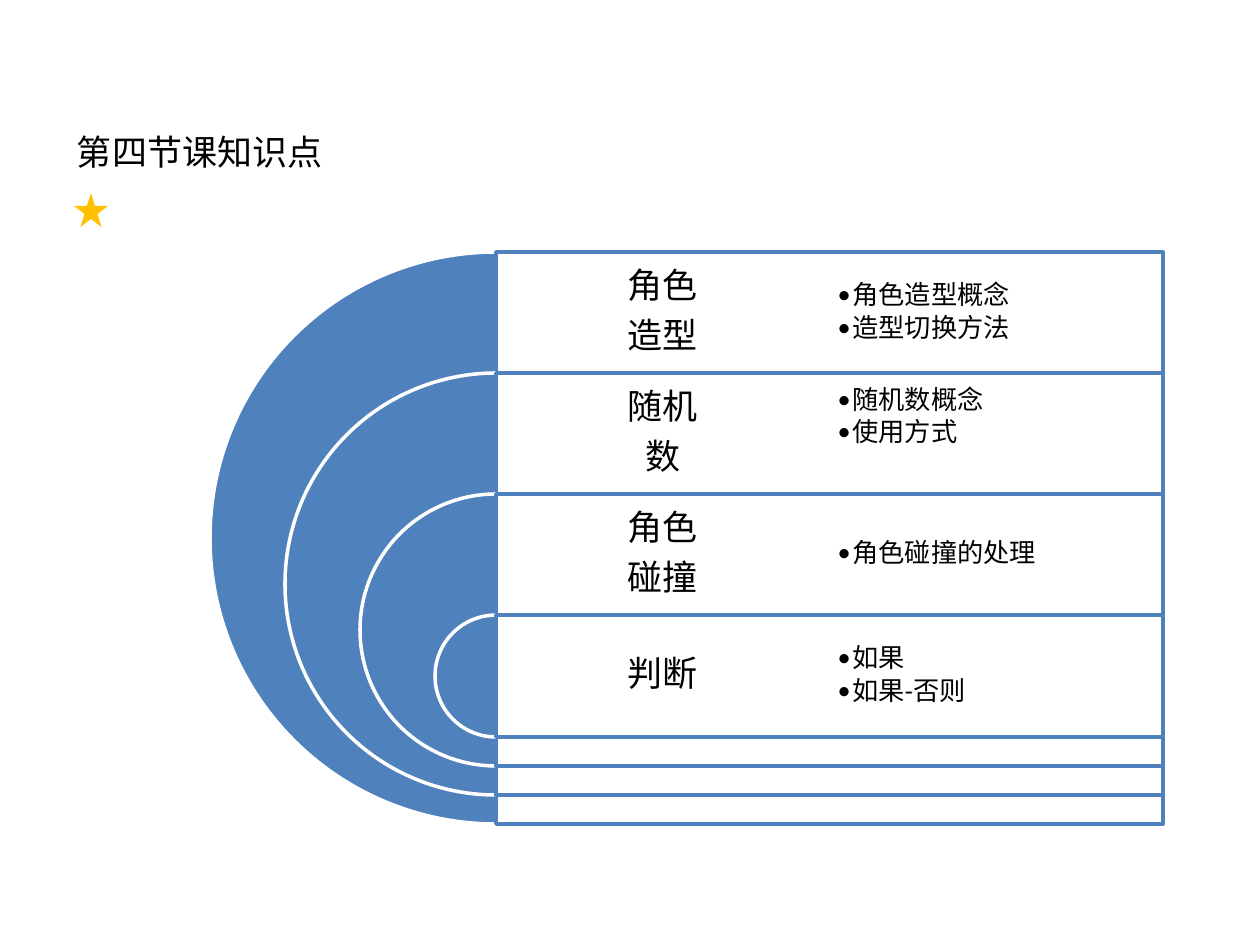
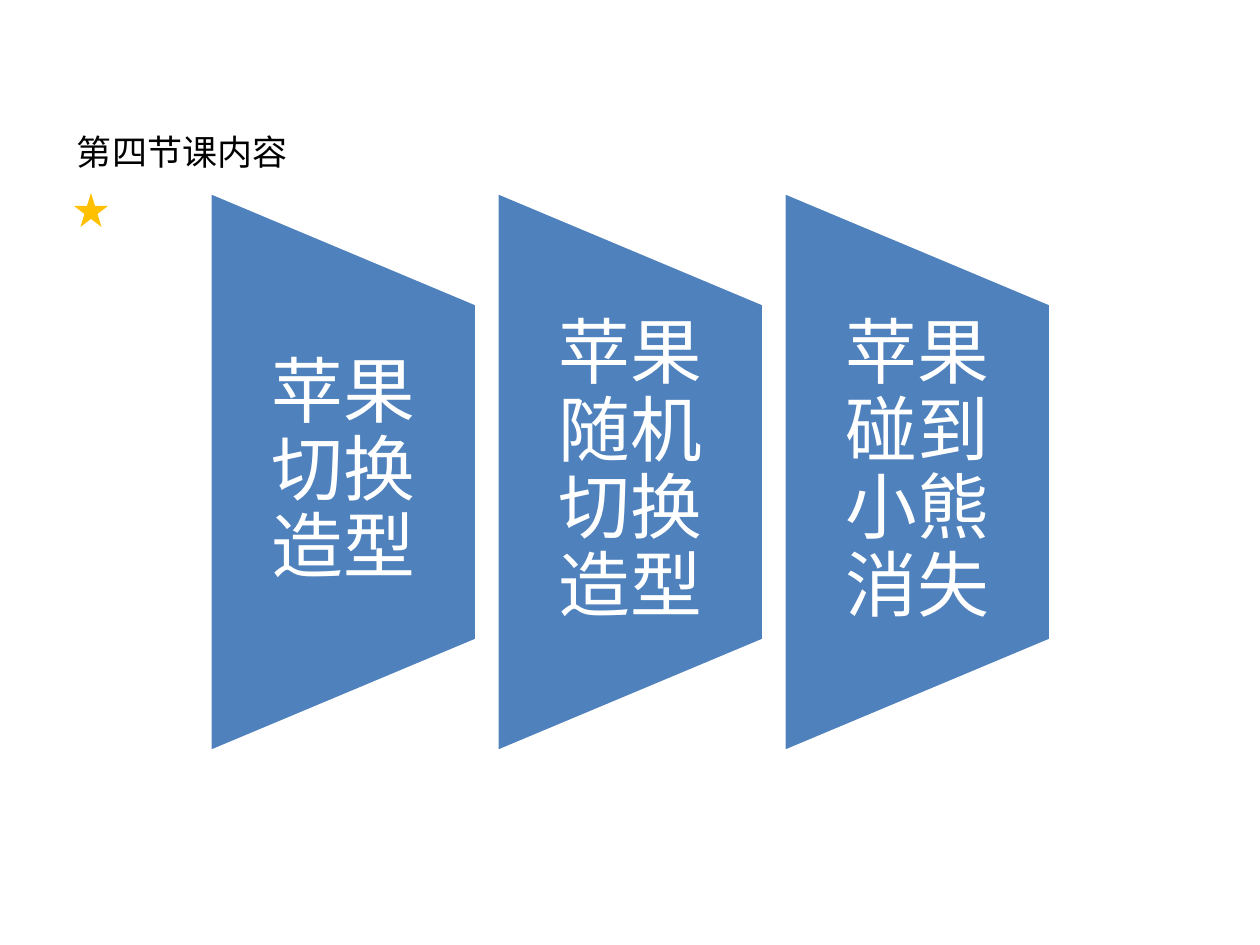
import pptx
import pptx.util
import pptx.dml.color
import pptx.enum.shapes
import pptx.enum.text
import pptx.oxml.ns
import lxml.etree
from dataclasses import dataclass

KNOWLEDGE_TITLE = "第四节课知识点"
KNOWLEDGE = [
    {"name": ["角色", "造型"], "points": ["角色造型概念", "造型切换方法"], "lift": 0},
    {"name": ["随机", "数"], "points": ["随机数概念", "使用方式"], "lift": 33},
    {"name": ["角色", "碰撞"], "points": ["角色碰撞的处理"], "lift": 0},
    {"name": ["判断"], "points": ["如果", "如果-否则"], "lift": 0},
]
CONTENT_TITLE = "第四节课内容"
STEPS = ["苹果切换造型", "苹果随机切换造型", "苹果碰到小熊消失"]


@dataclass(frozen=True)
class Theme:
    blue: str = "4F81BD"
    white: str = "FFFFFF"
    black: str = "000000"
    gold: str = "FFC000"
    title_font: str = "Noto Sans CJK SC"
    body_font: str = "Calibri"
    title_size: int = 20
    name_size: int = 20
    point_size: int = 15
    step_size: int = 41
    line_width: int = 2


THEME = Theme()
SHAPES = pptx.enum.shapes.MSO_SHAPE
ALIGN = pptx.enum.text.PP_ALIGN
MIDDLE = pptx.enum.text.MSO_ANCHOR.MIDDLE
EMU_PER_PX = 914400 / 126


def px(length):
    return pptx.util.Emu(round(length * EMU_PER_PX))


def color(code):
    return pptx.dml.color.RGBColor.from_string(code)


def add_child(parent, tag, **attributes):
    child = lxml.etree.SubElement(parent, pptx.oxml.ns.qn(tag))
    for key, value in attributes.items():
        child.set(key, str(value))
    return child


def write(box, lines, size, ink=THEME.black, font=THEME.body_font, align=ALIGN.LEFT,
          insets=(13, 6, 13, 6), spacing=0.9, after=0, bullet=False, wrap=True):
    frame = box.text_frame
    frame.auto_size = pptx.enum.text.MSO_AUTO_SIZE.NONE
    frame.word_wrap = wrap
    frame.vertical_anchor = MIDDLE
    (frame.margin_left, frame.margin_top,
     frame.margin_right, frame.margin_bottom) = map(px, insets)
    for index, line in enumerate(lines):
        para = frame.add_paragraph() if index else frame.paragraphs[0]
        para.alignment = align
        para.line_spacing = spacing
        para.space_after = pptx.util.Pt(after)
        if bullet:
            para.level = 1
            properties = para._p.get_or_add_pPr()
            properties.set("marL", str(px(15)))
            properties.set("indent", str(px(-15)))
            add_child(properties, "a:buFont", typeface=font)
            add_child(properties, "a:buChar", char="•")
        span = para.add_run()
        span.text = line
        span.font.size = pptx.util.Pt(size)
        span.font.color.rgb = color(ink)
        span.font.name = font
        add_child(span.font._element, "a:ea", typeface=font)


def add_text(page, left, top, width, height, lines, size, **style):
    box = page.shapes.add_textbox(px(left), px(top), px(width), px(height))
    write(box, lines, size, **style)


def add_figure(page, kind, left, top, width, height, fill, line=None, opacity=None):
    figure = page.shapes.add_shape(kind, px(left), px(top), px(width), px(height))
    figure.shadow.inherit = False
    figure.fill.solid()
    figure.fill.fore_color.rgb = color(fill)
    if opacity:
        fill_color = figure.fill._xPr.find(".//" + pptx.oxml.ns.qn("a:srgbClr"))
        add_child(fill_color, "a:alpha", val=opacity * 1000)
    if line:
        figure.line.color.rgb = color(line)
        figure.line.width = pptx.util.Pt(THEME.line_width)
    else:
        figure.line.fill.background()
    return figure


def add_page(deck, heading):
    page = deck.slides.add_slide(deck.slide_layouts.get_by_name("Title Only"))
    title = page.shapes.title
    title.left, title.top = px(64), px(124)
    title.width, title.height = px(28 + 35 * len(heading)), px(55)
    write(title, [heading], THEME.title_size, font=THEME.title_font, spacing=1, wrap=False)
    add_figure(page, SHAPES.STAR_5_POINT, 74, 193, 34, 34, THEME.gold)
    return page


def build_knowledge(deck):
    page = add_page(deck, KNOWLEDGE_TITLE)
    center, first_top, row, panel_width = 496, 252, 121, 667
    outer, shrink = 572, 150
    column = panel_width / 2
    for index, topic in enumerate(KNOWLEDGE):
        top = first_top + index * row
        diameter = outer - index * shrink
        pie = add_figure(page, SHAPES.PIE, center - diameter / 2, top, diameter, diameter,
                         THEME.blue, THEME.white)
        pie.adjustments[0], pie.adjustments[1] = 54, 162
        add_figure(page, SHAPES.RECTANGLE, center, top, panel_width, diameter,
                   THEME.white, THEME.blue, opacity=90)
        add_text(page, center, top, column, row, topic["name"], THEME.name_size,
                 align=ALIGN.CENTER, insets=(10, 10, 10, 10), after=7)
        add_text(page, center + column, top, column, row, topic["points"], THEME.point_size,
                 insets=(8, 8, 8, 8 + topic["lift"]), after=2.25, bullet=True)


def build_content(deck):
    page = add_page(deck, CONTENT_TITLE)
    first_left, top, width, height, gap = 210, 192, 267, 560, 20
    for index, step in enumerate(STEPS):
        left = first_left + index * (width + gap)
        flap = add_figure(page, SHAPES.FLOWCHART_MANUAL_OPERATION,
                          left + (width - height) / 2, top + (height - width) / 2,
                          height, width, THEME.blue, THEME.white)
        flap.rotation = 270
        add_text(page, left, top + height / 5, width, height * 3 / 5, [step], THEME.step_size,
                 ink=THEME.white, align=ALIGN.CENTER, insets=(35, 0, 35, 0), after=14)


def main():
    deck = pptx.Presentation()
    deck.slide_width, deck.slide_height = px(1260), px(945)
    build_knowledge(deck)
    build_content(deck)
    deck.save("out.pptx")


if __name__ == "__main__":
    main()
